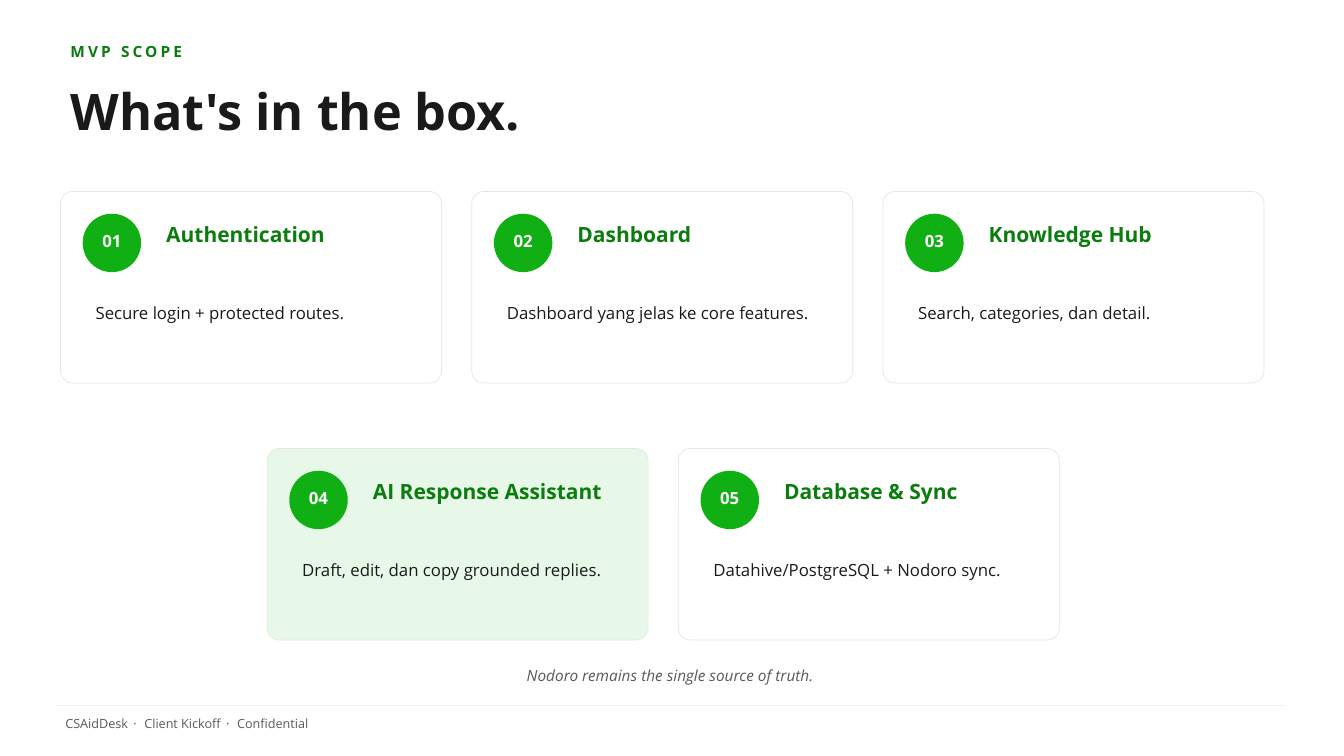
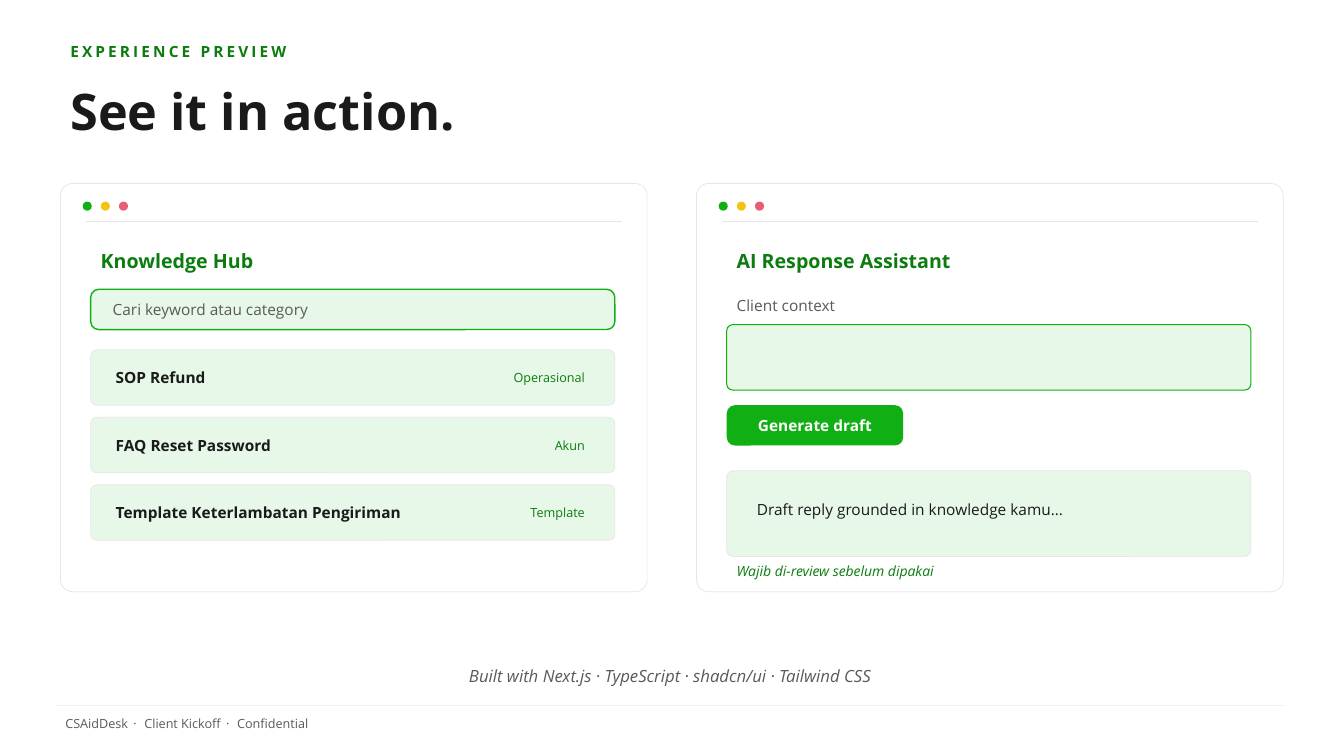
"""Build the two kickoff slides: MVP scope and experience preview."""
from dataclasses import dataclass, replace

from lxml import etree
from pptx import Presentation
from pptx.dml.color import RGBColor
from pptx.enum.shapes import MSO_CONNECTOR, MSO_SHAPE
from pptx.enum.text import MSO_ANCHOR, PP_ALIGN
from pptx.oxml.ns import qn
from pptx.util import Pt

FONT = "Open Sans"
COLORS = {
    "white": "FFFFFF",
    "ink": "1A1A1A",
    "muted": "5A5A5A",
    "border": "E6E6E6",
    "green": "10AF13",
    "deep_green": "0C7C0F",
    "mint": "E7F8E8",
    "yellow": "F1C40F",
    "coral": "E85D75",
}


@dataclass(frozen=True)
class Box:
    """A rectangle in points."""
    left: float
    top: float
    width: float
    height: float

    def inner(self, dx: float, dy: float, width: float, height: float) -> "Box":
        """Return a box placed relative to this one's top left corner."""
        return Box(self.left + dx, self.top + dy, width, height)


@dataclass(frozen=True)
class Style:
    """How a line of text looks."""
    size: float
    color: str = "ink"
    bold: bool = False
    italic: bool = False
    align: PP_ALIGN = PP_ALIGN.LEFT
    spacing: float = 0


@dataclass(frozen=True)
class Card:
    """A numbered feature of the MVP."""
    number: int
    title: str
    detail: str
    fill: str = "white"


@dataclass(frozen=True)
class CardRow:
    """A row of cards with its starting corner."""
    left: float
    top: float
    cards: tuple[Card, ...]


@dataclass(frozen=True)
class Article:
    """An entry in the knowledge hub list."""
    title: str
    tag: str


KICKER = Style(11, "deep_green", bold=True, spacing=2.2)
TITLE = Style(36, bold=True)
FOOTER = Style(9, "muted")
BADGE = Style(12, "white", bold=True, align=PP_ALIGN.CENTER)
CARD_TITLE = Style(15, "deep_green", bold=True)
CARD_DETAIL = Style(12)
WINDOW_TITLE = Style(14, "deep_green", bold=True)
LABEL = Style(11, "muted")
ARTICLE_TITLE = Style(11, bold=True)
ARTICLE_TAG = Style(9, "deep_green", align=PP_ALIGN.RIGHT)
BUTTON = Style(11, "white", bold=True, align=PP_ALIGN.CENTER)
DRAFT = Style(11)
REVIEW_NOTE = Style(10, "deep_green", italic=True)
CLOSING = Style(11, "muted", italic=True, align=PP_ALIGN.CENTER)

FOOTER_PARTS = ("CSAidDesk", "Client Kickoff", "Confidential")
SEPARATOR_SPACING = 1.56

CARD_WIDTH, CARD_HEIGHT, CARD_GAP = 272.16, 136.8, 21.6
CARD_ROWS = (
    CardRow(43.2, 136.8, (
        Card(1, "Authentication", "Secure login + protected routes."),
        Card(2, "Dashboard", "Dashboard yang jelas ke core features."),
        Card(3, "Knowledge Hub", "Search, categories, dan detail."),
    )),
    CardRow(190.8, 320.4, (
        Card(4, "AI Response Assistant", "Draft, edit, dan copy grounded replies.", "mint"),
        Card(5, "Database & Sync", "Datahive/PostgreSQL + Nodoro sync."),
    )),
)

HUB_WINDOW = Box(43.2, 131.04, 419.04, 291.6)
ASSISTANT_WINDOW = replace(HUB_WINDOW, left=497.52)
CONTENT_INSET, CONTENT_WIDTH = 21.6, 374.4
DOT_COLORS = ("green", "yellow", "coral")
DOT_SIZE, DOT_PITCH = 6.48, 12.96
ARTICLE_HEIGHT, ARTICLE_GAP = 39.6, 8.64
LARGE_RADIUS, MEDIUM_RADIUS, SMALL_RADIUS = 8.64, 5.76, 4.32
ARTICLES = (
    Article("SOP Refund", "Operasional"),
    Article("FAQ Reset Password", "Akun"),
    Article("Template Keterlambatan Pengiriman", "Template"),
)


def rgb(name: str) -> RGBColor:
    """Look up a palette colour."""
    return RGBColor.from_string(COLORS[name])


def add_run(paragraph, text: str, style: Style) -> None:
    """Append a styled run to a paragraph."""
    run = paragraph.add_run()
    run.text = text
    font = run.font
    font.name, font.size = FONT, Pt(style.size)
    font.bold, font.italic = style.bold, style.italic
    font.color.rgb = rgb(style.color)
    if style.spacing:
        run._r.get_or_add_rPr().set("spc", str(round(style.spacing * 100)))


def write(shape, text: str, style: Style):
    """Fill a shape with one paragraph, centred vertically, and return it."""
    frame = shape.text_frame
    frame.word_wrap = True
    frame.vertical_anchor = MSO_ANCHOR.MIDDLE
    paragraph = frame.paragraphs[0]
    paragraph.alignment = style.align
    add_run(paragraph, text, style)
    return paragraph


def add_text(slide, box: Box, text: str, style: Style):
    """Add a text box and return its paragraph."""
    shape = slide.shapes.add_textbox(
        Pt(box.left), Pt(box.top), Pt(box.width), Pt(box.height))
    return write(shape, text, style)


def add_shape(slide, kind: MSO_SHAPE, box: Box, fill: str,
              line: str | None = None, weight: float = 0.5):
    """Add a flat preset shape."""
    shape = slide.shapes.add_shape(
        kind, Pt(box.left), Pt(box.top), Pt(box.width), Pt(box.height))
    shape.shadow.inherit = False
    shape.fill.solid()
    shape.fill.fore_color.rgb = rgb(fill)
    if line:
        shape.line.color.rgb = rgb(line)
        shape.line.width = Pt(weight)
    else:
        shape.line.fill.background()
    return shape


def add_panel(slide, box: Box, radius: float, fill: str,
              line: str | None = "border", weight: float = 0.5):
    """Add a rectangle with corners of a given radius."""
    panel = add_shape(slide, MSO_SHAPE.ROUNDED_RECTANGLE, box, fill, line, weight)
    panel.adjustments[0] = radius / min(box.width, box.height)
    return panel


def add_rule(slide, left: float, right: float, y: float, color: str, weight: float) -> None:
    """Draw a horizontal line."""
    rule = slide.shapes.add_connector(
        MSO_CONNECTOR.STRAIGHT, Pt(left), Pt(y), Pt(right), Pt(y))
    rule.line.color.rgb = rgb(color)
    rule.line.width = Pt(weight)
    etree.SubElement(rule._element.spPr, qn("a:effectLst"))


def add_header(slide, kicker: str, title: str) -> None:
    """Add the small heading and the slide title."""
    add_text(slide, Box(43.2, 27.36, 864, 18), kicker, KICKER)
    add_text(slide, Box(43.2, 51.84, 871.2, 54), title, TITLE)


def add_footer(slide, closing: str, size: float) -> None:
    """Add the closing sentence, the rule and the footer text."""
    add_text(slide, Box(43.2, 471.6, 871.2, 21.6), closing, replace(CLOSING, size=size))
    add_rule(slide, 39.6, 918, 504, "mint", 1)
    first, *others = FOOTER_PARTS
    paragraph = add_text(slide, Box(39.6, 507.6, 878.4, 18), first, FOOTER)
    for part in others:
        add_run(paragraph, " · ", replace(FOOTER, spacing=SEPARATOR_SPACING))
        add_run(paragraph, part, FOOTER)


def add_card(slide, box: Box, card: Card) -> None:
    """Draw a feature card with its number badge."""
    add_panel(slide, box, LARGE_RADIUS, card.fill)
    add_shape(slide, MSO_SHAPE.OVAL, box.inner(15.84, 15.84, 41.76, 41.76), "green")
    add_text(slide, box.inner(15.84, 17.28, 41.76, 36), f"{card.number:02}", BADGE)
    add_text(slide, box.inner(68.4, 18, 183.6, 25.2), card.title, CARD_TITLE)
    add_text(slide, box.inner(18, 64.8, 234, 43.2), card.detail, CARD_DETAIL)


def add_window(slide, box: Box, title: str) -> None:
    """Draw an app window with its dots, rule and title."""
    add_panel(slide, box, LARGE_RADIUS, "white")
    add_rule(slide, box.left + 18, box.left + box.width - 18, box.top + 27.36, "border", 0.5)
    for index, color in enumerate(DOT_COLORS):
        dot = box.inner(15.84 + index * DOT_PITCH, 12.96, DOT_SIZE, DOT_SIZE)
        add_shape(slide, MSO_SHAPE.OVAL, dot, color)
    add_text(slide, box.inner(CONTENT_INSET, 44.64, CONTENT_WIDTH, 21.6), title, WINDOW_TITLE)


def add_hub(slide) -> None:
    """Draw the knowledge hub window with search and articles."""
    add_window(slide, HUB_WINDOW, "Knowledge Hub")
    search = HUB_WINDOW.inner(CONTENT_INSET, 75.6, CONTENT_WIDTH, 28.8)
    add_panel(slide, search, MEDIUM_RADIUS, "mint", "green", 1)
    add_text(slide, search.inner(8.64, 0, 338.4, 28.8), "Cari keyword atau category", LABEL)
    for index, article in enumerate(ARTICLES):
        top = 118.8 + index * (ARTICLE_HEIGHT + ARTICLE_GAP)
        row = HUB_WINDOW.inner(CONTENT_INSET, top, CONTENT_WIDTH, ARTICLE_HEIGHT)
        add_panel(slide, row, SMALL_RADIUS, "mint")
        add_text(slide, row.inner(10.8, 0, 259.2, ARTICLE_HEIGHT), article.title, ARTICLE_TITLE)
        add_text(slide, row.inner(280.8, 0, 79.2, ARTICLE_HEIGHT), article.tag, ARTICLE_TAG)


def add_assistant(slide) -> None:
    """Draw the response assistant window with context, button and draft."""
    window = ASSISTANT_WINDOW
    add_window(slide, window, "AI Response Assistant")
    add_text(slide, window.inner(CONTENT_INSET, 77.76, CONTENT_WIDTH, 18),
             "Client context", LABEL)
    context = window.inner(CONTENT_INSET, 100.8, CONTENT_WIDTH, 46.8)
    add_panel(slide, context, SMALL_RADIUS, "mint", "green", 0.75)
    button = window.inner(CONTENT_INSET, 158.4, 126, 28.8)
    write(add_panel(slide, button, MEDIUM_RADIUS, "green", None), "Generate draft", BUTTON)
    draft = window.inner(CONTENT_INSET, 205.2, CONTENT_WIDTH, 61.2)
    add_panel(slide, draft, SMALL_RADIUS, "mint")
    add_text(slide, draft.inner(14.4, 9.36, 345.6, 36),
             "Draft reply grounded in knowledge kamu…", DRAFT)
    add_text(slide, window.inner(CONTENT_INSET, 267.84, CONTENT_WIDTH, 18),
             "Wajib di-review sebelum dipakai", REVIEW_NOTE)


def build_scope(slide) -> None:
    """Build the MVP scope slide."""
    add_header(slide, "MVP SCOPE", "What's in the box.")
    for row in CARD_ROWS:
        for index, card in enumerate(row.cards):
            left = row.left + index * (CARD_WIDTH + CARD_GAP)
            add_card(slide, Box(left, row.top, CARD_WIDTH, CARD_HEIGHT), card)
    add_footer(slide, "Nodoro remains the single source of truth.", 11)


def build_preview(slide) -> None:
    """Build the experience preview slide."""
    add_header(slide, "EXPERIENCE PREVIEW", "See it in action.")
    add_hub(slide)
    add_assistant(slide)
    add_footer(slide, "Built with Next.js · TypeScript · shadcn/ui · Tailwind CSS", 12)


def main() -> None:
    """Create and save the presentation."""
    deck = Presentation()
    deck.slide_width, deck.slide_height = Pt(960), Pt(540)
    blank = deck.slide_layouts[6]
    for build in (build_scope, build_preview):
        build(deck.slides.add_slide(blank))
    deck.save("out.pptx")


main()
